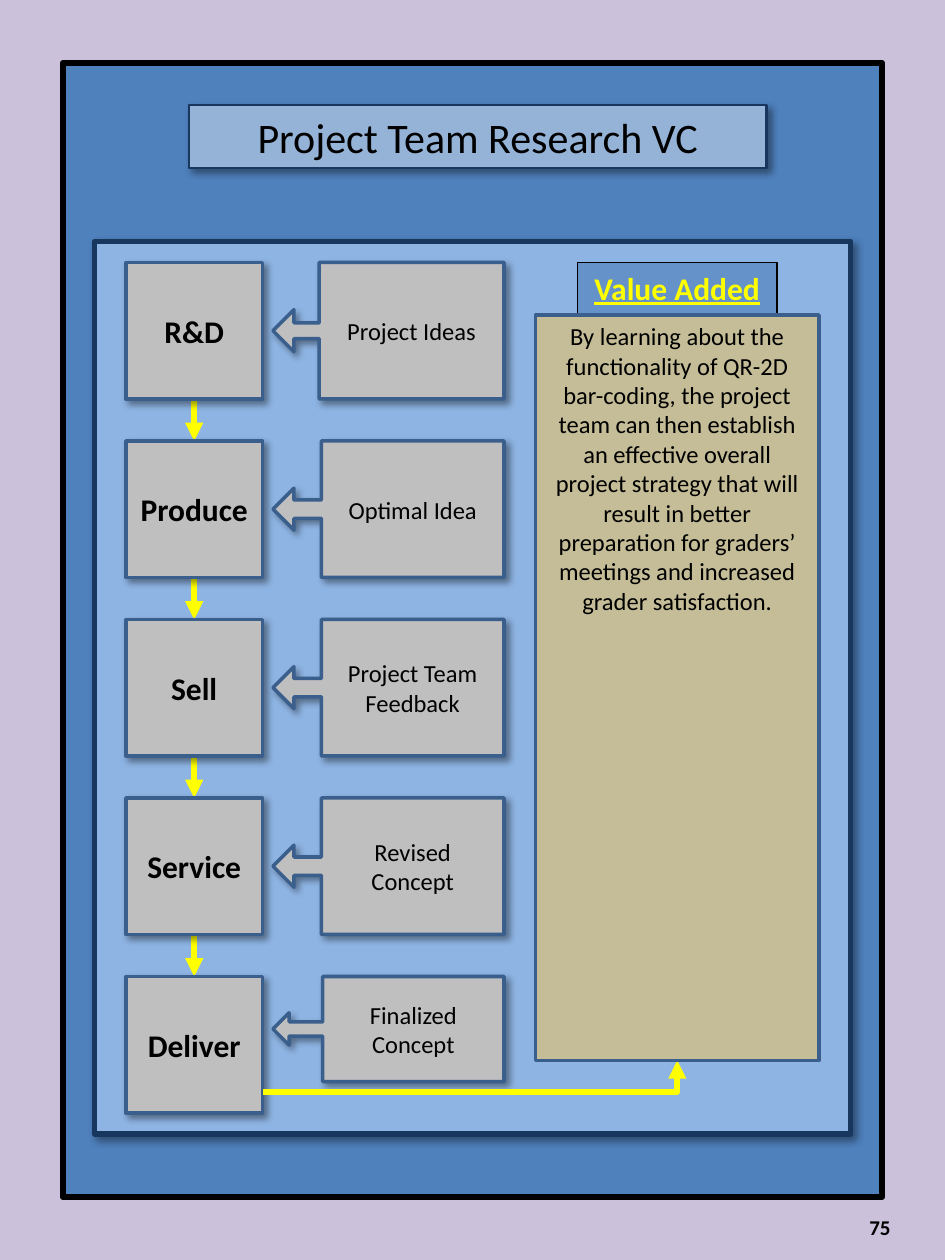
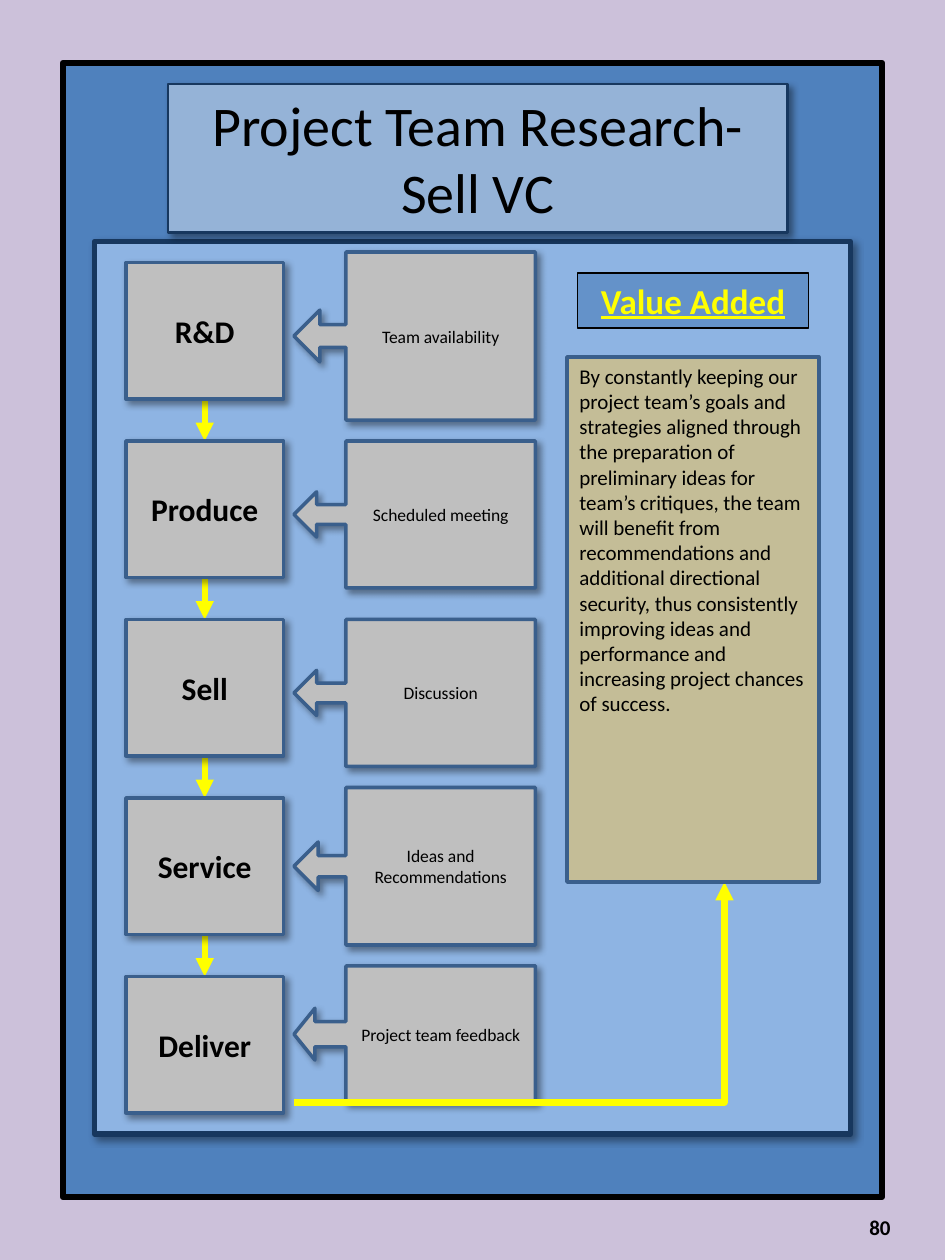
"""Build two value-chain slides for the project team."""
from lxml.etree import SubElement
from pptx import Presentation
from pptx.dml.color import RGBColor
from pptx.enum.shapes import MSO_CONNECTOR as CONN, MSO_SHAPE as SHAPE
from pptx.enum.text import MSO_ANCHOR as ANCHOR, MSO_AUTO_SIZE as AUTO, PP_ALIGN as ALIGN
from pptx.oxml.ns import qn
from pptx.util import Pt

THEME = {
    "font": "Calibri",
    "background": "CCC1DA",
    "text": "000000",
    "accent": "FFFF00",
    "arrow_width": 3.5,
    "step_size": 18,
    "page_size": 12,
    "frame": {"fill": "4F81BD", "line": "000000", "width": 3.75},
    "panel": {"fill": "8EB4E3", "line": "17375E", "width": 3, "shadow": True},
    "title": {"fill": "95B3D7", "line": "17375E", "width": 1.5, "shadow": True},
    "box": {"fill": "BFBFBF", "line": "3A5F8C", "width": 2, "shadow": True},
    "label": {"fill": "4F81BD", "line": "000000", "width": 0.75, "alpha": 66},
    "value": {"fill": "C4BD97", "line": "3A5F8C", "width": 2},
}
STEPS = ["R&D", "Produce", "Sell", "Service", "Deliver"]
STEP_LEFT, STEP_TOP, STEP_HEIGHT, STEP_PITCH = 72, 150, 78, 102
STANDARD_ADJ = (0.135, 0.154, 0.154, 0.785)
WIDE_ADJ = (0.135, 0.154, 0.154, 0.79)

SLIDES = [
    {
        "title": ("Project Team Research VC", (108, 60, 330, 36), 24),
        "step_width": 78,
        "callout_left": 156,
        "callout_width": 132,
        "callout_size": 14,
        "callouts": [
            ("Project Ideas", 0, 78, (0.115, 0.154, 0.154, 0.8)),
            ("Optimal Idea", 0, 78, WIDE_ADJ),
            ("Project Team Feedback", 0, 78, WIDE_ADJ),
            ("Revised Concept", 0, 78, WIDE_ADJ),
            ("Finalized Concept", 0, 60, STANDARD_ADJ),
        ],
        "elbow": (150, 624, 387, 606),
        "label": ((330, 150, 114, 29), 18),
        "value": (
            "By learning about the functionality of QR-2D bar-coding, the project team "
            "can then establish an effective overall project strategy that will result in "
            "better preparation for graders’ meetings and increased grader satisfaction.",
            (306, 180, 162, 426), 14, ALIGN.CENTER),
        "page": "75",
    },
    {
        "title": ("Project Team Research-Sell VC", (96, 48, 354, 85), 32),
        "step_width": 90,
        "callout_left": 168,
        "callout_width": 138,
        "callout_size": 10,
        "callouts": [
            ("Team availability", -6, 96, STANDARD_ADJ),
            ("Scheduled meeting", 0, 84, STANDARD_ADJ),
            ("Discussion", 0, 84, STANDARD_ADJ),
            ("Ideas and Recommendations", -6, 90, STANDARD_ADJ),
            ("Project team feedback", -6, 78, (0.185, 0.19, 0.154, 0.785)),
        ],
        "elbow": (168, 630, 414, 504),
        "label": ((330, 156, 132, 31.5), 20),
        "value": (
            "By constantly keeping our project team’s goals and strategies aligned through "
            "the preparation of preliminary ideas for team’s critiques, the team will "
            "benefit from recommendations and additional directional security, thus "
            "consistently improving ideas and performance and increasing project chances "
            "of success.",
            (324, 204, 144, 300), 12, ALIGN.LEFT),
        "page": "80",
    },
]


def paint(sp, fill, line, width, shadow=False, alpha=None):
    sp.fill.solid()
    sp.fill.fore_color.rgb = RGBColor.from_string(fill)
    sp.line.color.rgb = RGBColor.from_string(line)
    sp.line.width = Pt(width)
    sp.shadow.inherit = False
    spPr = sp._element.spPr
    if alpha:
        color = spPr.find(qn("a:solidFill")).find(qn("a:srgbClr"))
        SubElement(color, qn("a:alpha"), val=str(alpha * 1000))
    if shadow:
        outer = SubElement(spPr.find(qn("a:effectLst")), qn("a:outerShdw"),
                           blurRad=str(Pt(4)), dist=str(Pt(3)), dir="2700000",
                           algn="tl", rotWithShape="0")
        color = SubElement(outer, qn("a:srgbClr"), val="000000")
        SubElement(color, qn("a:alpha"), val="40000")


def write(sp, text, size, anchor=ANCHOR.TOP, align=ALIGN.CENTER, color=THEME["text"], **fmt):
    tf = sp.text_frame
    tf.text = text
    frame = {"word_wrap": True, "auto_size": AUTO.NONE, "vertical_anchor": anchor}
    for key, value in frame.items():
        setattr(tf, key, value)
    p = tf.paragraphs[0]
    p.alignment = align
    font = p.runs[0].font
    font.color.rgb = RGBColor.from_string(color)
    for key, value in {"name": THEME["font"], "size": Pt(size), **fmt}.items():
        setattr(font, key, value)


prs = Presentation()
prs.slide_width, prs.slide_height = Pt(540), Pt(720)
background = prs.slide_master.background.fill
background.solid()
background.fore_color.rgb = RGBColor.from_string(THEME["background"])

for data in SLIDES:
    s = prs.slides.add_slide(prs.slide_layouts[5])
    for look, box in (("frame", (36, 36, 468, 648)), ("panel", (54, 138, 432, 510))):
        paint(s.shapes.add_shape(SHAPE.RECTANGLE, *map(Pt, box)), **THEME[look])

    text, box, size = data["title"]
    title = s.shapes.title
    for side, length in zip(("left", "top", "width", "height"), box):
        setattr(title, side, Pt(length))
    paint(title, **THEME["title"])
    write(title, text, size)
    s.shapes._spTree.append(title._element)

    steps = []
    for i, name in enumerate(STEPS):
        sp = s.shapes.add_shape(SHAPE.RECTANGLE, Pt(STEP_LEFT), Pt(STEP_TOP + i * STEP_PITCH),
                                Pt(data["step_width"]), Pt(STEP_HEIGHT))
        paint(sp, **THEME["box"])
        write(sp, name, THEME["step_size"], ANCHOR.MIDDLE, bold=True)
        steps.append(sp)

    for i, (text, shift, height, adjustments) in enumerate(data["callouts"]):
        sp = s.shapes.add_shape(SHAPE.LEFT_ARROW_CALLOUT, Pt(data["callout_left"]),
                                Pt(STEP_TOP + i * STEP_PITCH + shift),
                                Pt(data["callout_width"]), Pt(height))
        for n, value in enumerate(adjustments):
            sp.adjustments[n] = value
        paint(sp, **THEME["box"])
        write(sp, text, data["callout_size"], ANCHOR.MIDDLE)

    arrows = []
    for upper, lower in zip(steps, steps[1:]):
        arrow = s.shapes.add_connector(CONN.STRAIGHT, 0, 0, 0, 0)
        arrow.begin_connect(upper, 2)
        arrow.end_connect(lower, 0)
        steps[0]._element.addprevious(arrow._element)
        arrows.append(arrow)
    elbow = s.shapes.add_connector(CONN.ELBOW, *map(Pt, data["elbow"]))
    elbow._element.spPr.find(qn("a:prstGeom")).set("prst", "bentConnector2")
    for arrow in arrows + [elbow]:
        arrow.line.color.rgb = RGBColor.from_string(THEME["accent"])
        arrow.line.width = Pt(THEME["arrow_width"])
        spPr = arrow._element.spPr
        SubElement(spPr.find(qn("a:ln")), qn("a:tailEnd"), type="triangle")
        SubElement(spPr, qn("a:effectLst"))

    box, size = data["label"]
    label = s.shapes.add_shape(SHAPE.RECTANGLE, *map(Pt, box))
    paint(label, **THEME["label"])
    write(label, "Value Added", size, color=THEME["accent"], bold=True, underline=True)

    text, box, size, align = data["value"]
    value_box = s.shapes.add_shape(SHAPE.RECTANGLE, *map(Pt, box))
    paint(value_box, **THEME["value"])
    write(value_box, text, size, align=align)

    page = s.shapes.add_textbox(Pt(390), Pt(682), Pt(126), Pt(38))
    write(page, data["page"], THEME["page_size"], ANCHOR.MIDDLE, ALIGN.RIGHT, bold=True)

prs.save("out.pptx")
